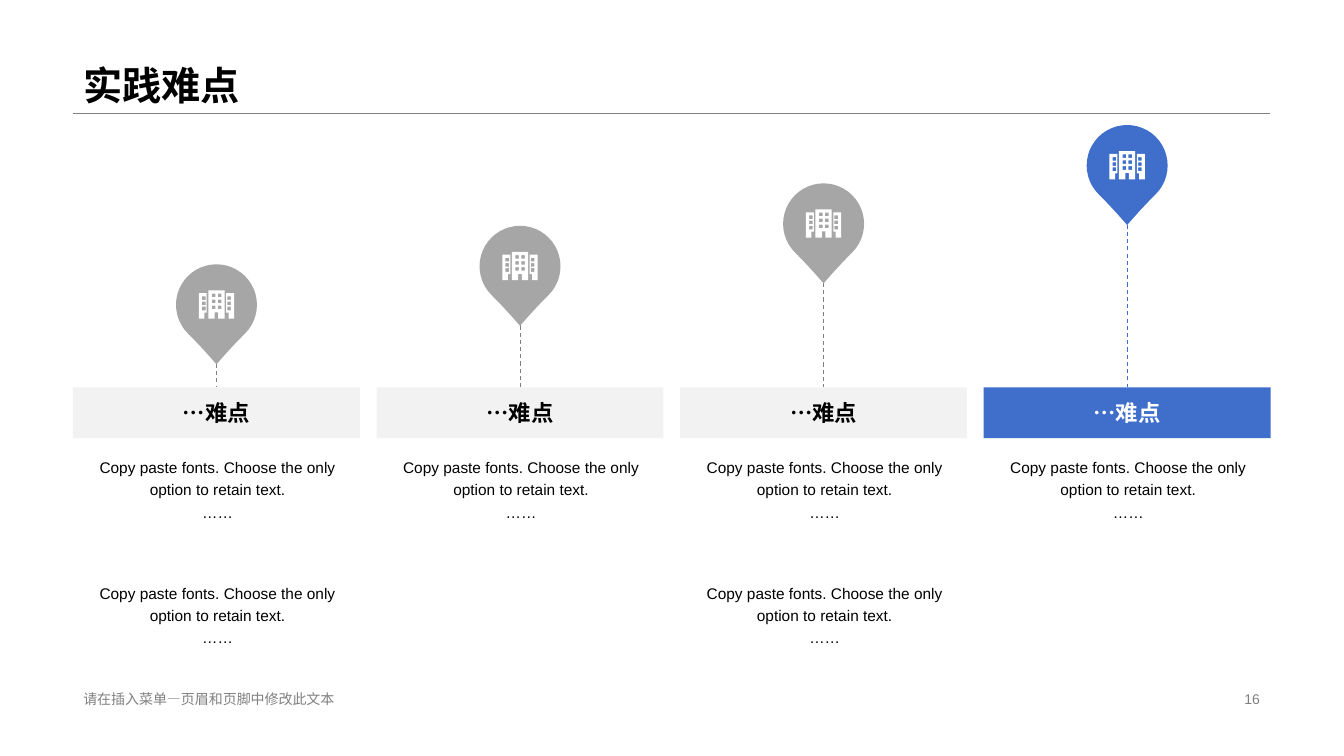
from dataclasses import dataclass

from pptx import Presentation
from pptx.dml.color import RGBColor
from pptx.enum.dml import MSO_LINE_DASH_STYLE as Dash
from pptx.enum.shapes import MSO_CONNECTOR as Connector, MSO_SHAPE as Preset
from pptx.enum.text import MSO_ANCHOR as Anchor, PP_ALIGN as Align
from pptx.oxml.ns import qn
from pptx.util import Cm, Pt

# Content
TITLE = "实践难点"
FOOTER = "请在插入菜单—页眉和页脚中修改此文本"
PAGE = "16"
NOTE = ["Copy paste fonts. Choose the only option to retain text.", "……"]
# heading, top of the pin in cm, stacked notes, highlighted
DIFFICULTIES = [
    ("…难点", 6.66, [NOTE, NOTE], False),
    ("…难点", 5.69, [NOTE], False),
    ("…难点", 4.62, [NOTE, NOTE], False),
    ("…难点", 3.15, [NOTE], True),
]


@dataclass(frozen=True)
class Theme:
    font: str = "Arial"
    black: str = "000000"
    white: str = "FFFFFF"
    grey: str = "808080"
    pin: str = "A6A6A6"
    bar: str = "F2F2F2"
    accent: str = "3F6ECB"
    title: int = 28
    heading: int = 16
    body: int = 11
    small: int = 10


theme = Theme()

# Layout in cm
LEFT, CONTENT_W, RULE_Y = 1.85, 30.15, 2.86
FOOTER_Y, FOOTER_H, FOOTER_W, PAGE_W = 17.32, 0.58, 11.5, 8.08
BAR_X, BAR_Y, BAR_W, BAR_H, PITCH = 1.84, 9.76, 7.23, 1.28, 7.65
PIN_SIZE, PIN_REACH = 2.04, 2.51
ICON_W, ICON_DROP = 0.89, 0.66
NOTE_Y, NOTE_STEP, NOTE_H = 11.33, 3.16, 2.57


# Icon outline in hundredths of a cm
def pane(x, y, size=9):
    return [(x, y), (x, y + size), (x + size, y + size), (x + size, y)]


LEFT_WING = [(0, 7), (20, 7), (20, 56), (14, 56), (14, 71), (0, 71)]
RIGHT_WING = [(89 - x, y) for x, y in LEFT_WING]
TOWER = [(24, 0), (65, 0), (65, 71), (49, 71), (49, 55), (40, 55), (40, 71), (24, 71)]
WING_PANES = [pane(x, y) for x in (8, 72) for y in (15, 28, 41)]
TOWER_PANES = [pane(x, y) for x in (33, 48) for y in (8, 23, 38)]
BUILDINGS = [LEFT_WING, RIGHT_WING, TOWER, *WING_PANES, *TOWER_PANES]

deck = Presentation()
deck.slide_width, deck.slide_height = Cm(33.87), Cm(19.05)
slide = deck.slides.add_slide(deck.slide_layouts[6])
shapes = slide.shapes


def write(frame, lines, size, color, bold=False, align=Align.LEFT,
          anchor=Anchor.MIDDLE, spacing=1.0):
    frame.word_wrap = True
    frame.vertical_anchor = anchor
    for i, line in enumerate(lines):
        paragraph = frame.paragraphs[0] if i == 0 else frame.add_paragraph()
        paragraph.alignment = align
        paragraph.line_spacing = spacing
        run = paragraph.add_run()
        run.text = line
        run.font.name, run.font.size, run.font.bold = theme.font, Pt(size), bold
        run.font.color.rgb = RGBColor.from_string(color)


def add_text(x, y, w, h, lines, size, color, **style):
    box = shapes.add_textbox(Cm(x), Cm(y), Cm(w), Cm(h))
    write(box.text_frame, lines, size, color, **style)


def add_line(x1, y1, x2, y2, color, width, dash=None):
    line = shapes.add_connector(Connector.STRAIGHT, Cm(x1), Cm(y1), Cm(x2), Cm(y2))
    line.line.color.rgb = RGBColor.from_string(color)
    line.line.width = Pt(width)
    if dash:
        line.line.dash_style = dash
    properties = line._element.spPr
    properties.append(properties.makeelement(qn("a:effectLst"), {}))


def paint(shape, color):
    shape.shadow.inherit = False
    shape.fill.solid()
    shape.fill.fore_color.rgb = RGBColor.from_string(color)
    shape.line.fill.background()
    return shape


def add_preset(preset, x, y, w, h, color):
    return paint(shapes.add_shape(preset, Cm(x), Cm(y), Cm(w), Cm(h)), color)


def add_buildings(x, y):
    builder = shapes.build_freeform(*BUILDINGS[0][0], scale=Cm(0.01))
    for i, outline in enumerate(BUILDINGS):
        if i:
            builder.move_to(*outline[0])
        builder.add_line_segments(outline[1:], close=True)
    paint(builder.convert_to_shape(Cm(x), Cm(y)), theme.white)


# Title, rule and footer
add_line(LEFT, RULE_Y, LEFT + CONTENT_W, RULE_Y, theme.grey, 0.25)
add_text(LEFT, 0, CONTENT_W, RULE_Y, [TITLE], theme.title, theme.black,
         bold=True, anchor=Anchor.BOTTOM, spacing=0.9)
add_text(LEFT, FOOTER_Y, FOOTER_W, FOOTER_H, [FOOTER], theme.small, theme.grey)
add_text(LEFT + CONTENT_W - PAGE_W, FOOTER_Y, PAGE_W, FOOTER_H, [PAGE],
         theme.small, theme.grey, align=Align.RIGHT)

# One column per difficulty
for column, (heading, pin_y, notes, highlighted) in enumerate(DIFFICULTIES):
    x = BAR_X + column * PITCH
    center = x + BAR_W / 2
    pin_color = theme.accent if highlighted else theme.pin
    bar_color = theme.accent if highlighted else theme.bar
    heading_color = theme.white if highlighted else theme.black

    # Stem, pin and icon
    stem_color = theme.accent if highlighted else theme.grey
    add_line(center, pin_y + PIN_REACH, center, BAR_Y, stem_color, 0.75, Dash.DASH)
    pin = add_preset(Preset.TEAR, center - PIN_SIZE / 2, pin_y, PIN_SIZE, PIN_SIZE, pin_color)
    pin.adjustments[0] = 1.04
    pin.rotation = 135
    add_buildings(center - ICON_W / 2, pin_y + ICON_DROP)

    # Heading bar and notes
    bar = add_preset(Preset.RECTANGLE, x, BAR_Y, BAR_W, BAR_H, bar_color)
    write(bar.text_frame, [heading], theme.heading, heading_color,
          bold=True, align=Align.CENTER)
    for row, note in enumerate(notes):
        add_text(x + 0.03, NOTE_Y + row * NOTE_STEP, BAR_W, NOTE_H, note, theme.body,
                 theme.black, align=Align.CENTER, anchor=Anchor.TOP, spacing=1.2)

deck.save("out.pptx")
